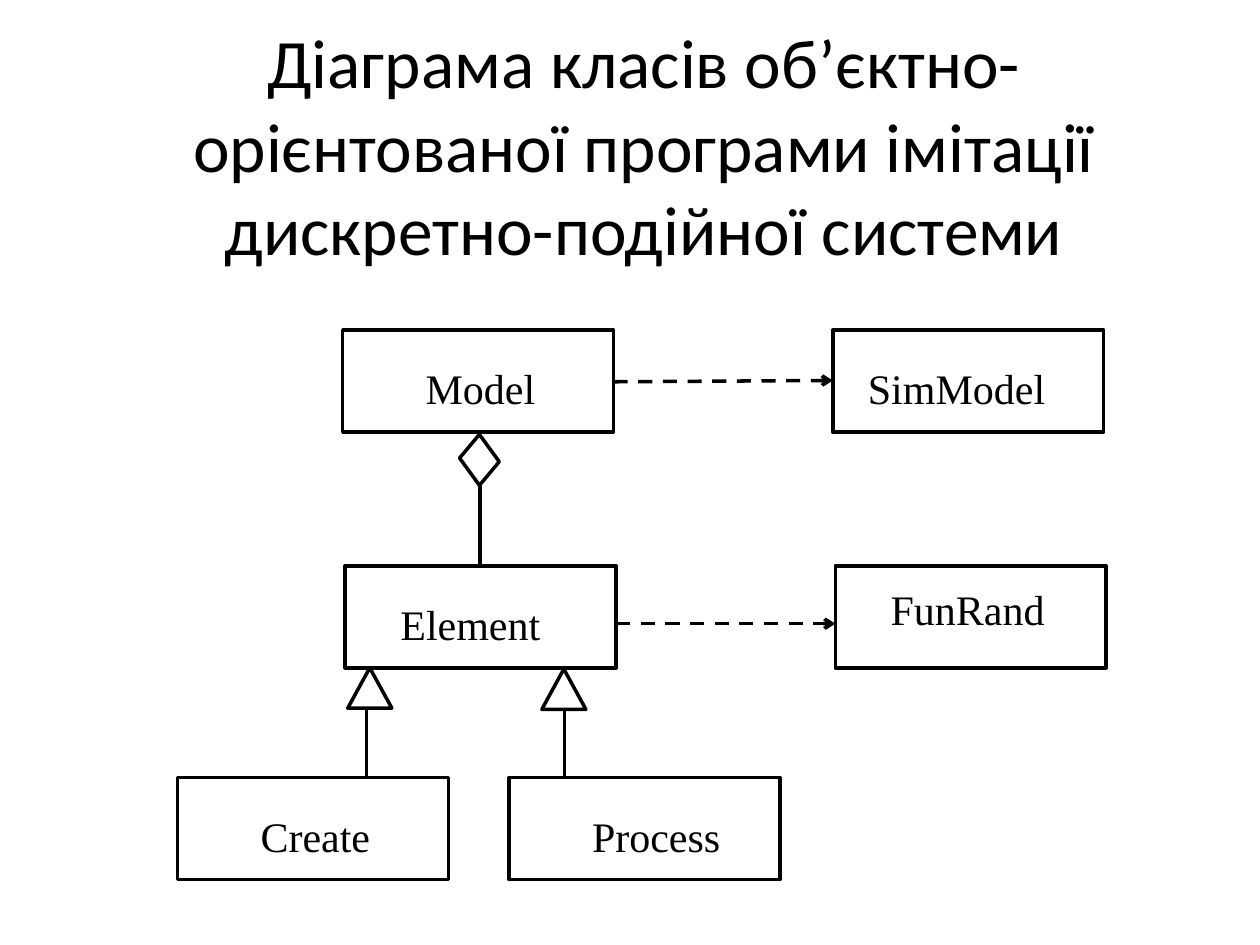
import pptx
import pptx.dml.color
import pptx.enum.dml
import pptx.enum.shapes
import pptx.enum.text
import pptx.oxml
import pptx.oxml.ns
import pptx.util

Inches = pptx.util.Inches
Pt = pptx.util.Pt
Shape = pptx.enum.shapes.MSO_SHAPE

COLORS = {"ink": "000000", "paper": "FFFFFF"}
CLASS_WIDTH, CLASS_HEIGHT = 2.15, 0.81
LABEL_HEIGHT = 0.55


class ClassDiagram:
    """Draws UML elements in one style on the current slide."""

    def __init__(self, slide):
        self.slide = slide
        self.ink = pptx.dml.color.RGBColor.from_string(COLORS["ink"])
        self.paper = pptx.dml.color.RGBColor.from_string(COLORS["paper"])
        self.line_width = Pt(2)

    def add_wording(self, paragraph, wording, font, size):
        run = paragraph.add_run()
        run.text = wording
        run.font.name = font
        run.font.size = Pt(size)
        run.font.color.rgb = self.ink

    def title(self, wording, left, top, width, height):
        heading = self.slide.shapes.add_textbox(
            Inches(left), Inches(top), Inches(width), Inches(height))
        frame = heading.text_frame
        frame.word_wrap = True
        frame.vertical_anchor = pptx.enum.text.MSO_ANCHOR.MIDDLE
        paragraph = frame.paragraphs[0]
        paragraph.alignment = pptx.enum.text.PP_ALIGN.CENTER
        self.add_wording(paragraph, wording, "Calibri", 39.6)

    def outline(self, kind, left, top, width, height, rotation=0):
        figure = self.slide.shapes.add_shape(
            kind, Inches(left), Inches(top), Inches(width), Inches(height))
        figure.rotation = rotation
        figure.shadow.inherit = False
        figure.fill.solid()
        figure.fill.fore_color.rgb = self.paper
        figure.line.color.rgb = self.ink
        figure.line.width = self.line_width

    def label(self, wording, left, top, width):
        label = self.slide.shapes.add_textbox(
            Inches(left), Inches(top), Inches(width), Inches(LABEL_HEIGHT))
        label.fill.solid()
        label.fill.fore_color.rgb = self.paper
        label.text_frame.word_wrap = False
        paragraph = label.text_frame.paragraphs[0]
        paragraph.alignment = pptx.enum.text.PP_ALIGN.LEFT
        paragraph.line_spacing = 1.15
        paragraph.space_after = Pt(10)
        self.add_wording(paragraph, wording, "Times New Roman", 24)

    def class_box(self, name, left, top, label_left, label_width, label_drop=0.15):
        self.outline(Shape.RECTANGLE, left, top, CLASS_WIDTH, CLASS_HEIGHT)
        self.label(name, label_left, top + label_drop, label_width)

    def link(self, start, end):
        link = self.slide.shapes.add_connector(
            pptx.enum.shapes.MSO_CONNECTOR.STRAIGHT,
            *(Inches(length) for length in start + end))
        link.line.color.rgb = self.ink
        link.line.width = self.line_width
        properties = link._element.spPr
        properties.append(pptx.oxml.parse_xml(
            f"<a:effectLst {pptx.oxml.ns.nsdecls('a')}/>"))
        return link

    def dependency(self, start, end):
        link = self.link(start, end)
        link.line.dash_style = pptx.enum.dml.MSO_LINE.DASH
        link.line._get_or_add_ln().append(pptx.oxml.parse_xml(
            f"<a:tailEnd {pptx.oxml.ns.nsdecls('a')} type='arrow'/>"))

    def inheritance(self, triangle_left, triangle_top, stem):
        self.outline(Shape.ISOSCELES_TRIANGLE, triangle_left, triangle_top, 0.35, 0.32)
        self.link((stem, 5.63), (stem, 6.17))

    def aggregation(self):
        self.outline(Shape.PARALLELOGRAM, 3.65, 3.52, 0.31, 0.26, 309.9)
        self.link((3.81, 3.86), (3.81, 4.49))


def main():
    presentation = pptx.Presentation()
    presentation.slide_width = Inches(10)
    presentation.slide_height = Inches(7.5)
    slide = presentation.slides.add_slide(presentation.slide_layouts[6])
    diagram = ClassDiagram(slide)

    diagram.title(
        "Діаграма класів об’єктно-орієнтованої програми імітації "
        "дискретно-подійної системи", 0.61, 0.52, 9, 1.25)

    model_row, element_row, subclass_row = 2.62, 4.49, 6.17
    diagram.class_box("Model", 2.72, model_row, 3.28, 1.26)
    diagram.class_box("Element", 2.74, element_row, 3.08, 1.48)
    diagram.class_box("Create", 1.41, subclass_row, 1.97, 1.25)
    diagram.class_box("Process", 4.04, subclass_row, 4.6, 1.39)
    diagram.class_box("FunRand", 6.63, element_row, 6.97, 1.59, label_drop=0.03)
    diagram.class_box("SimModel", 6.61, model_row, 6.79, 1.77)

    diagram.dependency((4.87, 3.03), (6.61, 3.02))
    diagram.dependency((4.89, 4.95), (6.63, 4.95))
    diagram.inheritance(2.76, 5.3, stem=2.91)
    diagram.inheritance(4.3, 5.31, stem=4.48)
    diagram.aggregation()

    presentation.save("out.pptx")


if __name__ == "__main__":
    main()
